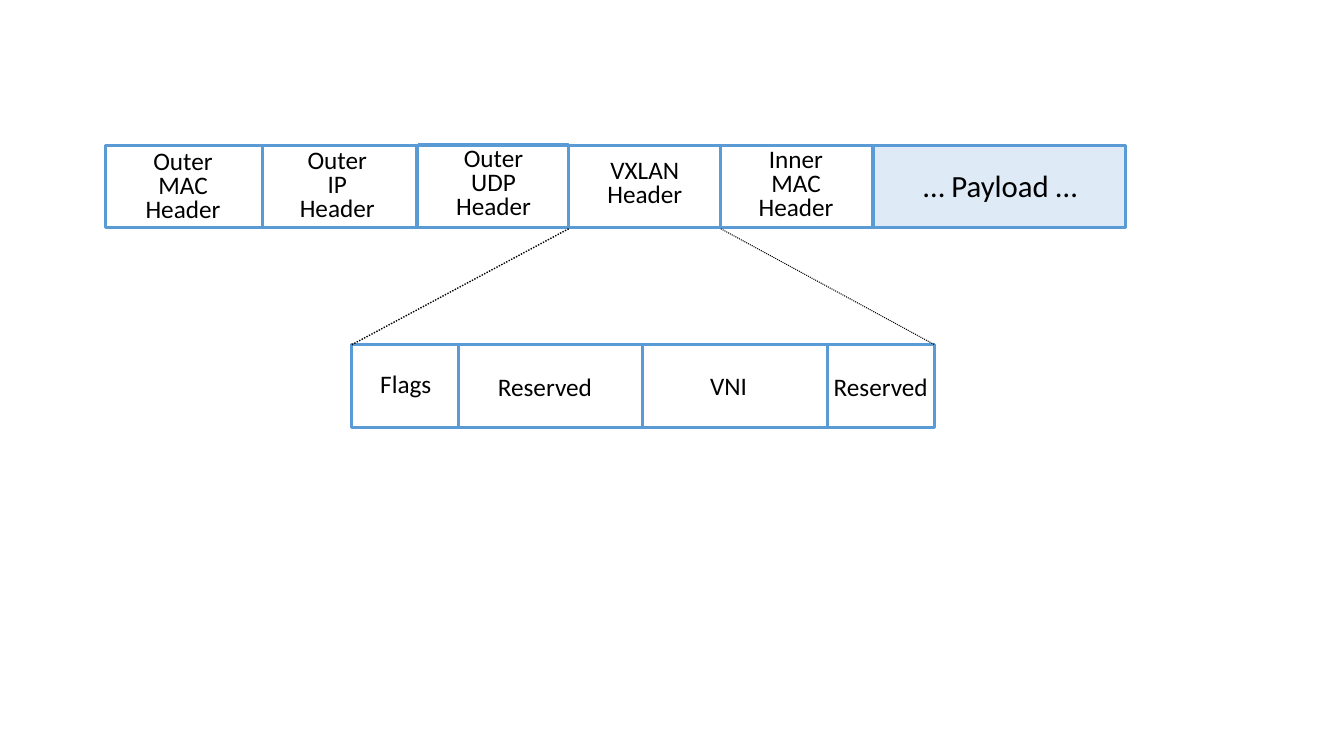
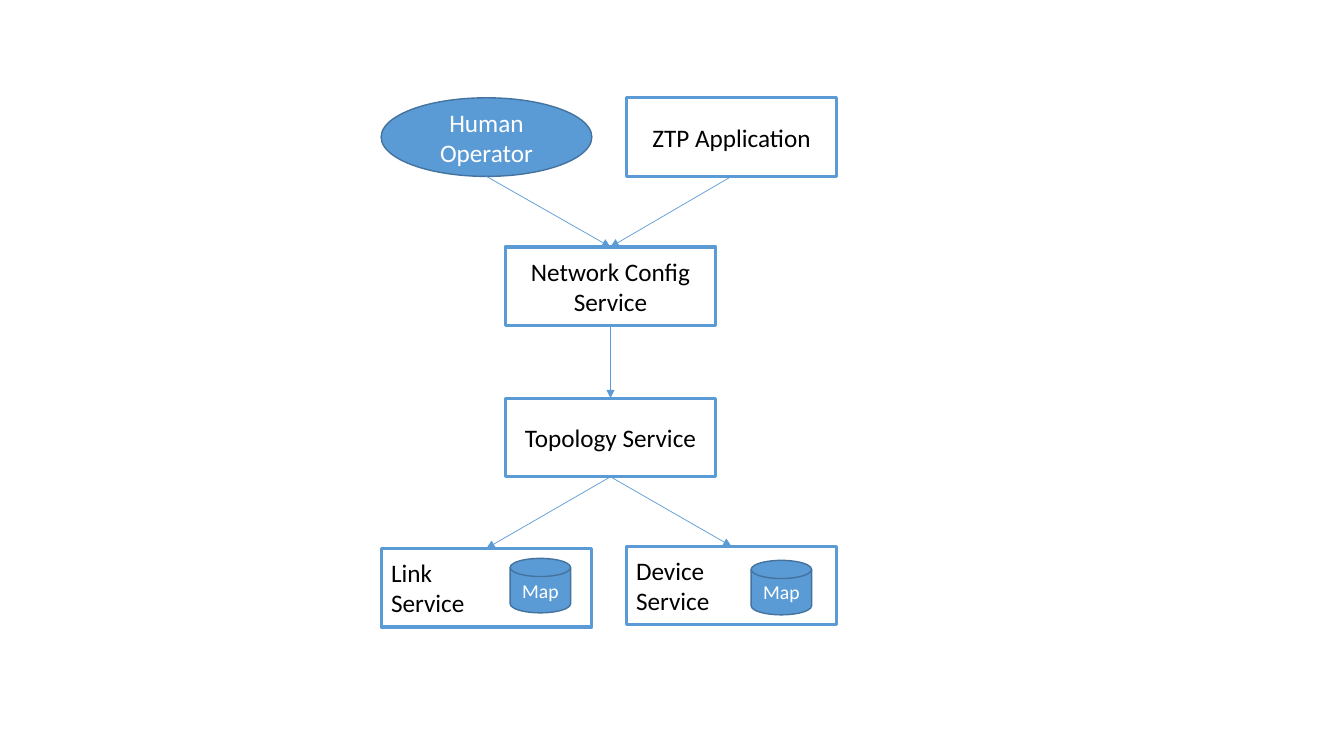
from lxml import etree
from pptx import Presentation
from pptx.dml.color import RGBColor
from pptx.enum.dml import MSO_LINE
from pptx.enum.shapes import MSO_CONNECTOR, MSO_SHAPE
from pptx.enum.text import MSO_ANCHOR, PP_ALIGN
from pptx.oxml.ns import qn
from pptx.util import Inches, Pt

RECT, OVAL, DISK = MSO_SHAPE.RECTANGLE, MSO_SHAPE.OVAL, MSO_SHAPE.FLOWCHART_MAGNETIC_DISK
STRAIGHT = MSO_CONNECTOR.STRAIGHT
DOTTED = MSO_LINE.ROUND_DOT
LEFT, CENTER = PP_ALIGN.LEFT, PP_ALIGN.CENTER
TOP, MIDDLE = MSO_ANCHOR.TOP, MSO_ANCHOR.MIDDLE

FONT = "Calibri"
BLUE, DARK_BLUE, PALE_BLUE = "5B9BD5", "43739E", "DEEBF7"
BLACK, WHITE = "000000", "FFFFFF"
FRAME = 2.25


def rgb(value):
    return RGBColor.from_string(value)


def write(sp, text, size=18, color=BLACK, align=CENTER, anchor=MIDDLE, spacing=None):
    """Write each line of text as a paragraph of the shape."""
    tf = sp.text_frame
    tf.word_wrap = True
    tf.vertical_anchor = anchor
    for i, line in enumerate(text.split("\n")):
        p = tf.add_paragraph() if i else tf.paragraphs[0]
        p.alignment = align
        if spacing:
            p.line_spacing = spacing
        r = p.add_run()
        r.text = line
        r.font.name, r.font.size = FONT, Pt(size)
        r.font.color.rgb = rgb(color)


def add_box(slide, kind, x, y, w, h, fill=None, line=BLUE, weight=FRAME):
    sp = slide.shapes.add_shape(kind, Inches(x), Inches(y), Inches(w), Inches(h))
    sp.shadow.inherit = False
    if fill:
        sp.fill.solid()
        sp.fill.fore_color.rgb = rgb(fill)
    else:
        sp.fill.background()
    sp.line.color.rgb = rgb(line)
    sp.line.width = Pt(weight)
    return sp


def add_line(slide, x1, y1, x2, y2, color=BLUE, weight=FRAME, dash=None):
    """Draw a straight line between two points given as lengths."""
    cxn = slide.shapes.add_connector(STRAIGHT, x1, y1, x2, y2)
    cxn.line.color.rgb = rgb(color)
    cxn.line.width = Pt(weight)
    if dash:
        cxn.line.dash_style = dash
    etree.SubElement(cxn._element.spPr, qn("a:effectLst"))
    return cxn


def add_label(slide, text, x, y, w=1.49, h=0.83, outlined=False, **fmt):
    if outlined:
        sp = add_box(slide, RECT, x, y, w, h, weight=0.75)
    else:
        sp = slide.shapes.add_textbox(Inches(x), Inches(y), Inches(w), Inches(h))
    write(sp, text, anchor=TOP, **fmt)


def add_frame(slide, x, y, w, h, dividers, labels):
    """Draw a packet frame; dividers and labels are placed from its top left."""
    add_box(slide, RECT, x, y, w, h)
    for dx in dividers:
        add_line(slide, Inches(x + dx), Inches(y), Inches(x + dx), Inches(y + h))
    for text, dx, dy, outlined in labels:
        add_label(slide, text, x + dx, y + dy, outlined=outlined, spacing=0.8)


def packet_slide(slide):
    x, y, w, h = 1.05, 1.44, 10.11, 0.82
    cell, payload_w = 1.51, 2.5
    add_frame(slide, x, y, w, h, [1.55, 3.08, 3.08 + cell, 3.08 + 2 * cell], [
        ("Outer\nMAC\nHeader", 0.02, 0.01, False),
        ("Outer\nIP\nHeader", 1.55, 0, False),
        ("Outer\nUDP\nHeader", 3.1, -0.02, True),
        ("VXLAN\nHeader", 4.6, 0.1, False),
        ("Inner\nMAC\nHeader", 6.1, -0.01, True),
    ])
    add_box(slide, RECT, x + w - payload_w, y, payload_w, h, fill=PALE_BLUE)
    add_label(slide, "… Payload …", 9.02, 1.61, w=1.8, h=0.47, size=22)

    detail_x, detail_y, detail_w = 3.49, 3.42, 5.78
    add_frame(slide, detail_x, detail_y, detail_w, h, [1.06, 2.88, 4.72], [
        ("Flags", -0.21, 0.24, False),
        ("Reserved", 1.17, 0.27, False),
        ("VNI", 2.99, 0.26, False),
        ("Reserved", 4.5, 0.27, False),
    ])
    vxlan_x = x + 3.08 + cell
    for x1, x2, weight in [(vxlan_x, detail_x, 1),
                           (vxlan_x + cell, detail_x + detail_w, 0.75)]:
        add_line(slide, Inches(x1), Inches(y + h + 0.01), Inches(x2), Inches(detail_y),
                 BLACK, weight, DOTTED)


def add_node(slide, text, x, y, kind=RECT, align=CENTER):
    filled = kind == OVAL
    sp = add_box(slide, kind, x, y, 2.09, 0.78, fill=BLUE if filled else WHITE,
                 line=DARK_BLUE if filled else BLUE, weight=1 if filled else FRAME)
    write(sp, text, color=WHITE if filled else BLACK, align=align)
    return sp


def add_store(slide, text, x, y, map_dx, map_dy):
    """Draw a service node that holds a map."""
    sp = add_node(slide, text, x, y, align=LEFT)
    disk = add_box(slide, DISK, x + map_dx, y + map_dy, 0.6, 0.54, BLUE, DARK_BLUE, 1)
    write(disk, "Map", size=14, color=WHITE)
    return sp


def add_arrow(slide, upper, lower):
    """Point from the bottom centre of one node to the top centre of another."""
    cxn = add_line(slide, upper.left + upper.width // 2, upper.top + upper.height,
                   lower.left + lower.width // 2, lower.top, weight=0.5)
    if upper.auto_shape_type == RECT:
        cxn.begin_connect(upper, 2)
    cxn.end_connect(lower, 0)
    etree.SubElement(cxn.line._get_or_add_ln(), qn("a:tailEnd"), type="triangle")


def services_slide(slide):
    left, middle, right = 3.78, 5.01, 6.21
    operator = add_node(slide, "Human\nOperator", left, 0.97, kind=OVAL)
    ztp = add_node(slide, "ZTP Application", right, 0.97)
    config = add_node(slide, "Network Config\nService", middle, 2.45)
    topology = add_node(slide, "Topology Service", middle, 3.95)
    link = add_store(slide, "Link\nService", left, 5.44, 1.28, 0.1)
    device = add_store(slide, "Device\nService", right, 5.42, 1.24, 0.14)
    for upper, lower in [(operator, config), (ztp, config), (config, topology),
                         (topology, link), (topology, device)]:
        add_arrow(slide, upper, lower)


def main():
    prs = Presentation()
    prs.slide_width, prs.slide_height = Inches(13.33), Inches(7.5)
    blank = prs.slide_layouts[6]
    for build in (packet_slide, services_slide):
        build(prs.slides.add_slide(blank))
    prs.save("out.pptx")


if __name__ == "__main__":
    main()
